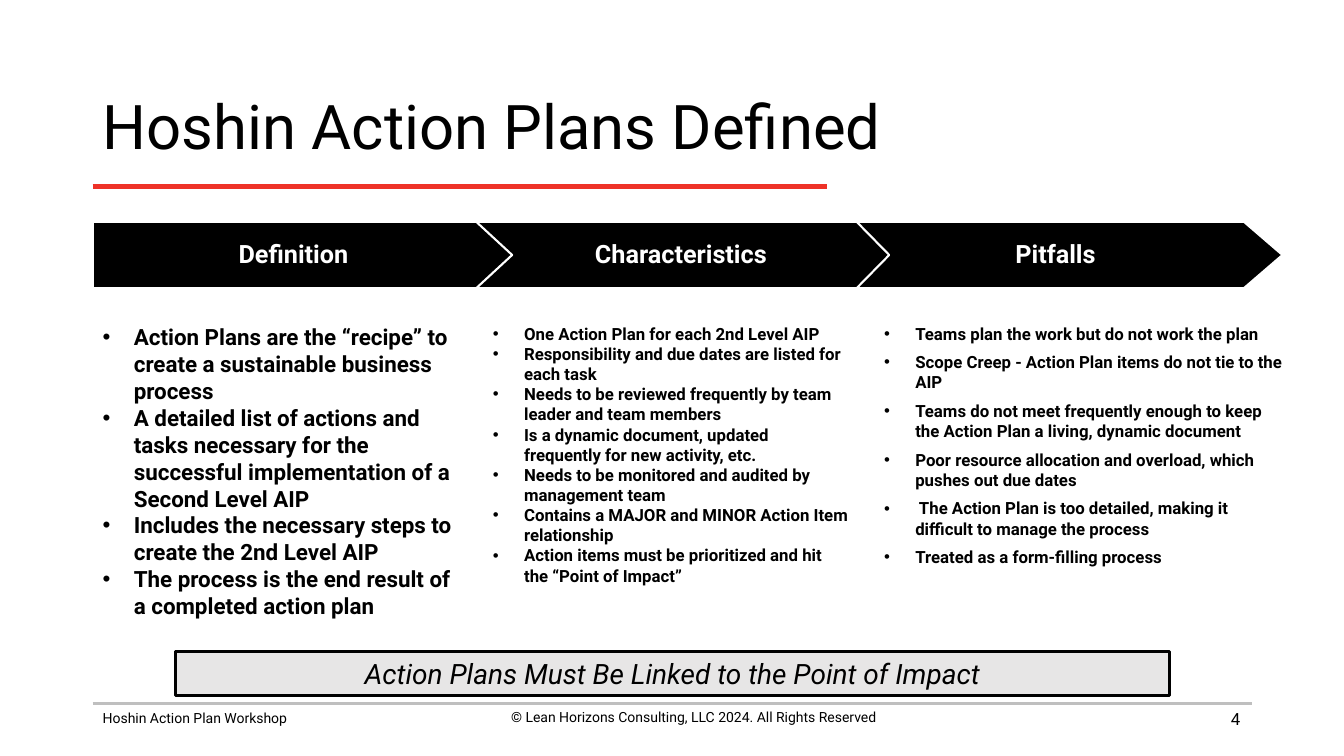
import pptx
import pptx.util
import pptx.dml.color
import pptx.enum.shapes
import pptx.enum.text
import pptx.oxml.ns
from lxml import etree

RGBColor = pptx.dml.color.RGBColor
Pt = pptx.util.Pt
ALIGN = pptx.enum.text.PP_ALIGN
ANCHOR = pptx.enum.text.MSO_ANCHOR
SHAPE = pptx.enum.shapes.MSO_SHAPE
qn = pptx.oxml.ns.qn

BLACK = RGBColor(0x00, 0x00, 0x00)
WHITE = RGBColor(0xFF, 0xFF, 0xFF)
RED = RGBColor(0xEE, 0x32, 0x28)
RULE_GREY = RGBColor(0xBF, 0xBF, 0xBF)
BAR_GREY = RGBColor(0xE7, 0xE6, 0xE6)

FONT = "Roboto"
PX = 9144
INDENT = 31

STAGES = [
    ("Definition", (0, 416), 0.54, 0),
    ("Characteristics", (374, 416), 0.49, 19),
    ("Pitfalls", (749, 431), 0.58, 0),
]

COLUMNS = [
    ((92, 316, 374, 306), 16, 0, [
        "Action Plans are the “recipe” to create a sustainable business process",
        "A detailed list of actions and tasks necessary for the successful "
        "implementation of a Second Level AIP",
        "Includes the necessary steps to create the 2nd Level AIP",
        "The process is the end result of a completed action plan",
    ]),
    ((479, 316, 374, 273), 12, 0, [
        "One Action Plan for each 2nd Level AIP",
        "Responsibility and due dates are listed for each task",
        "Needs to be reviewed frequently by team leader and team members",
        "Is a dynamic document, updated frequently for new activity, etc.",
        "Needs to be monitored and audited by management team",
        "Contains a MAJOR and MINOR Action Item relationship",
        "Action items must be prioritized and hit the “Point of Impact”",
    ]),
    ((867, 316, 416, 254), 12, 6, [
        "Teams plan the work but do not work the plan",
        "Scope Creep - Action Plan items do not tie to the AIP",
        "Teams do not meet frequently enough to keep the Action Plan a living, "
        "dynamic document",
        "Poor resource allocation and overload, which pushes out due dates",
        " The Action Plan is too detailed, making it difficult to manage the process",
        "Treated as a form-filling process",
    ]),
]


def style(para, size, color=BLACK, bold=False, italic=False, align=ALIGN.LEFT):
    """Set the font and alignment of a paragraph."""
    para.alignment = align
    para.font.name = FONT
    para.font.size = Pt(size)
    para.font.bold = bold
    para.font.italic = italic
    para.font.color.rgb = color


def add_text(page, box, text, size, align=ALIGN.LEFT, anchor=ANCHOR.TOP):
    """Add a one-paragraph text box and return its paragraph."""
    frame = page.shapes.add_textbox(*(n * PX for n in box)).text_frame
    frame.word_wrap = True
    frame.vertical_anchor = anchor
    para = frame.paragraphs[0]
    para.text = text
    style(para, size, align=align)
    return para


def add_rule(page, left, top, width, color, weight):
    """Draw a horizontal rule."""
    rule = page.shapes.add_connector(
        pptx.enum.shapes.MSO_CONNECTOR.STRAIGHT,
        left * PX, top * PX, (left + width) * PX, top * PX)
    rule.line.color.rgb = color
    rule.line.width = Pt(weight)
    etree.SubElement(rule._element.spPr, qn("a:effectLst"))


def add_block(page, kind, box, fill, line, weight):
    """Add a filled, outlined shape without shadow."""
    block = page.shapes.add_shape(kind, *(n * PX for n in box))
    block.shadow.inherit = False
    block.fill.solid()
    block.fill.fore_color.rgb = fill
    block.line.color.rgb = line
    block.line.width = Pt(weight)
    block.text_frame.word_wrap = True
    return block


def add_header(page, box):
    """Place the title with its red rule below."""
    left, top, width, height = box
    title = add_text(page, box, "Hoshin Action Plans Defined", 44, anchor=ANCHOR.MIDDLE)
    title.line_spacing = 0.9
    add_rule(page, left, top + height + 1, 728, RED, 3)


def add_stages(page, box):
    """Overlap the stage arrows, the leftmost in front."""
    left, top, width, height = box
    for label, (offset, length), point, indent in reversed(STAGES):
        arrow = add_block(page, SHAPE.PENTAGON, (left + offset, top, length, height),
                          BLACK, WHITE, 1.5)
        arrow.adjustments[0] = point
        frame = arrow.text_frame
        frame.vertical_anchor = ANCHOR.MIDDLE
        frame.margin_left = frame.margin_right = 5 * PX
        frame.margin_top = frame.margin_bottom = 5 * PX
        para = frame.paragraphs[0]
        para.text = label
        para.line_spacing = 0.95
        para._p.get_or_add_pPr().set("marL", str(indent * PX))
        style(para, 18, WHITE, bold=True, align=ALIGN.CENTER)


def add_bullets(page, box, size, gap, items):
    """Fill a box with a bold bulleted list."""
    frame = page.shapes.add_textbox(*(n * PX for n in box)).text_frame
    frame.word_wrap = True
    for index, item in enumerate(items):
        para = frame.add_paragraph() if index else frame.paragraphs[0]
        para.text = item
        props = para._p.get_or_add_pPr()
        props.set("marL", str(INDENT * PX))
        props.set("indent", str(-INDENT * PX))
        etree.SubElement(props, qn("a:buFont"), typeface="Arial")
        etree.SubElement(props, qn("a:buChar"), char="•")
        style(para, size, bold=True)
        if index and gap:
            para.space_before = Pt(gap)


def add_takeaway(page, box):
    """Place the framed key message."""
    bar = add_block(page, SHAPE.RECTANGLE, box, BAR_GREY, BLACK, 2)
    bar.text_frame.vertical_anchor = ANCHOR.BOTTOM
    para = bar.text_frame.paragraphs[0]
    para.text = "Action Plans Must Be Linked to the Point of Impact"
    style(para, 20, italic=True, align=ALIGN.CENTER)


def add_footer(page, box):
    """Place the footer rule, workshop name, copyright and page number."""
    left, top, width, height = box
    add_rule(page, left, top, width, RULE_GREY, 2)
    add_text(page, (left, top + 1, 456, 27), "Hoshin Action Plan Workshop", 10)
    add_text(page, (left + 368, top, 456, height),
             "© Lean Horizons Consulting, LLC 2024. All Rights Reserved", 10, ALIGN.CENTER)
    add_text(page, (left + width - 302, top - 5, 300, 40), "4", 12,
             ALIGN.RIGHT, ANCHOR.MIDDLE)


def main():
    """Build the slide and save it."""
    deck = pptx.Presentation()
    deck.slide_width = 1333 * PX
    deck.slide_height = 750 * PX
    page = deck.slides.add_slide(deck.slide_layouts[6])
    add_footer(page, (92, 698, 1150, 44))
    add_header(page, (92, 74, 1150, 110))
    add_stages(page, (92, 220, 1180, 66))
    for column in COLUMNS:
        add_bullets(page, *column)
    add_takeaway(page, (174, 646, 986, 44))
    deck.save("out.pptx")


if __name__ == "__main__":
    main()
